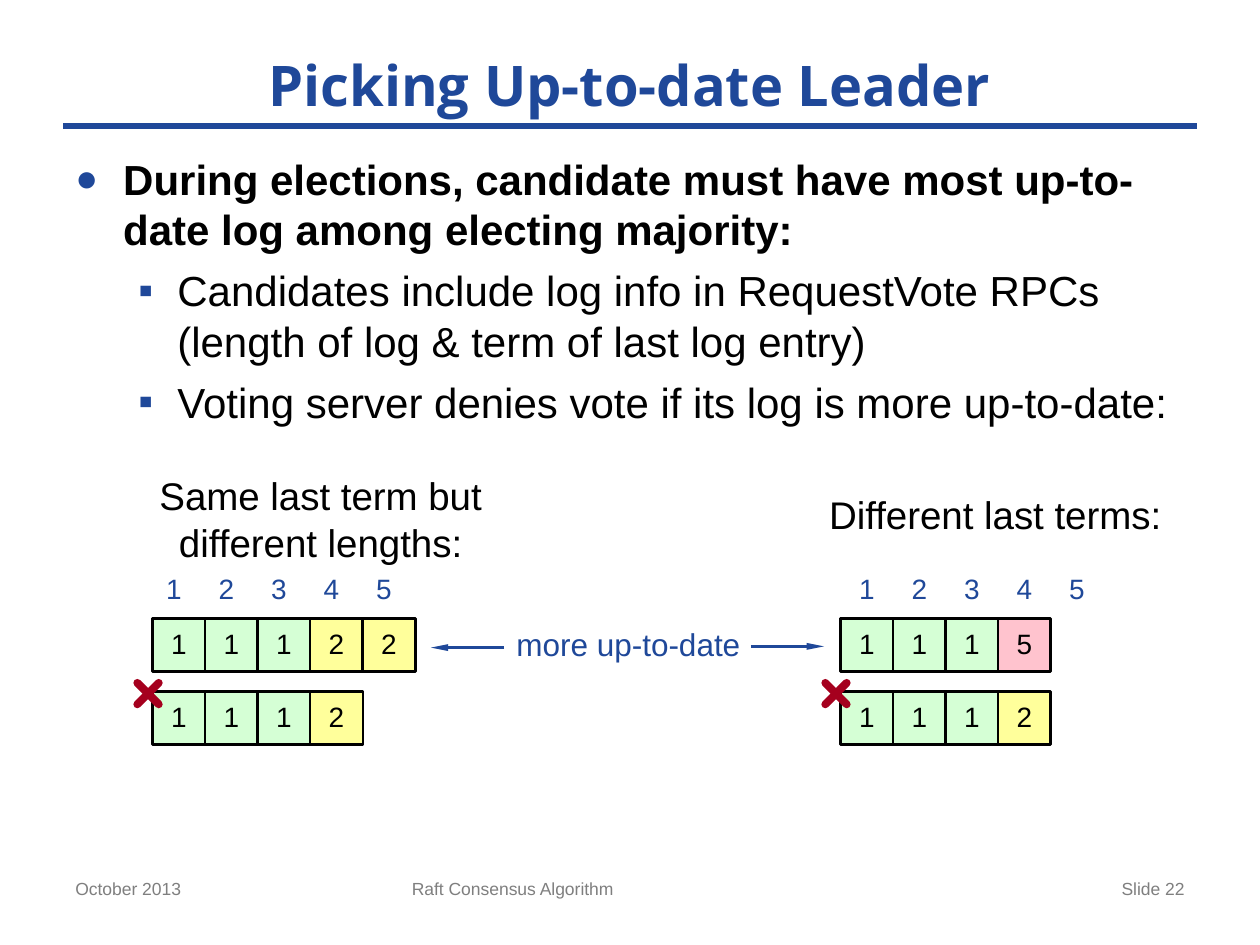
from lxml import etree
from pptx import Presentation
from pptx.dml.color import RGBColor
from pptx.enum import shapes, text
from pptx.oxml import ns
from pptx.util import Inches, Pt

COLORS = {"blue": "1F4899", "black": "000000", "gray": "7F7F7F", "red": "A5001E"}
TERM_FILLS = {1: "D5FFD5", 2: "FFFF9B", 5: "FFC3CE"}
LEFT, CENTER, RIGHT = text.PP_ALIGN.LEFT, text.PP_ALIGN.CENTER, text.PP_ALIGN.RIGHT

TITLE = "Picking Up-to-date Leader"
BULLETS = [
    ("During elections, candidate must have most up-to-date log among electing majority:", 0),
    ("Candidates include log info in RequestVote RPCs\n(length of log & term of last log entry)", 1),
    ("Voting server denies vote if its log is more up-to-date:", 1),
]
BULLET_LEVELS = [
    {"char": "●", "size": 90, "left": 0.38, "hanging": 0.38, "before": 12, "bold": True},
    {"char": "▪", "size": 100, "left": 0.81, "hanging": 0.31, "before": 6, "bold": False},
]
FOOTERS = [
    ("October 2013", 0.5, 2.33, LEFT),
    ("Raft Consensus Algorithm", 3.17, 3.75, LEFT),
    ("Slide 22", 7.17, 2.33, RIGHT),
]
LOG_GROUPS = [
    {"left": 1.21, "index_left": 1.17, "logs": [(1, 1, 1, 2, 2), (1, 1, 1, 2)]},
    {"left": 6.67, "index_left": 6.67, "logs": [(1, 1, 1, 5), (1, 1, 1, 2)]},
]
ARROWS = [((4, 5.14), (3.42, 5.14)), ((5.96, 5.13), (6.54, 5.13))]
INDEX_COUNT = 5
INDEX_TOP, LOG_TOP, LOG_STEP = 4.49, 4.91, 0.58
CELL, CELL_STEP = 0.42, 5 / 12
CROSS_TOP, CROSS_SIZE = 5.42, 0.17

presentation = Presentation()
presentation.slide_width, presentation.slide_height = Inches(10), Inches(7.5)
slide = presentation.slides.add_slide(presentation.slide_layouts[6])


def rgb(name):
    return RGBColor.from_string(COLORS.get(name, name))


def format_paragraph(paragraph, size, color, align=LEFT, bold=False, font="Arial", spacing=None):
    paragraph.alignment = align
    if spacing:
        paragraph.line_spacing = Pt(spacing)
    for run in paragraph.runs:
        run.font.name = font
        run.font.size = Pt(size)
        run.font.bold = bold
        run.font.color.rgb = rgb(color)


def remove_insets(frame):
    frame.margin_left = frame.margin_right = frame.margin_top = frame.margin_bottom = 0


def add_text(content, box, size, color, inset=True, grow=False, wrap=True,
             anchor=text.MSO_ANCHOR.TOP, **style):
    frame = slide.shapes.add_textbox(*map(Inches, box)).text_frame
    frame.word_wrap = wrap
    frame.vertical_anchor = anchor
    if grow:
        frame.auto_size = text.MSO_AUTO_SIZE.SHAPE_TO_FIT_TEXT
    if not inset:
        remove_insets(frame)
    frame.text = content
    format_paragraph(frame.paragraphs[0], size, color, **style)


def add_line(start, end, color, width, arrow=False, rounded=False):
    line = slide.shapes.add_connector(
        shapes.MSO_CONNECTOR.STRAIGHT, *map(Inches, (*start, *end)))
    line.line.color.rgb = rgb(color)
    line.line.width = Pt(width)
    outline = line.line._get_or_add_ln()
    if rounded:
        outline.set("cap", "rnd")
    if arrow:
        etree.SubElement(outline, ns.qn("a:tailEnd"), type="triangle", w="sm", len="lg")
    etree.SubElement(line._element.spPr, ns.qn("a:effectLst"))


def add_bullet(paragraph, level):
    properties = paragraph._p.get_or_add_pPr()
    properties.set("marL", str(Inches(level["left"])))
    properties.set("indent", str(-Inches(level["hanging"])))
    color = etree.SubElement(properties, ns.qn("a:buClr"))
    etree.SubElement(color, ns.qn("a:srgbClr"), val=COLORS["blue"])
    etree.SubElement(properties, ns.qn("a:buSzPct"), val=str(level["size"] * 1000))
    etree.SubElement(properties, ns.qn("a:buFont"), typeface="Arial")
    etree.SubElement(properties, ns.qn("a:buChar"), char=level["char"])


def add_body():
    frame = slide.shapes.add_textbox(*map(Inches, (0.5, 1.17, 9, 5.53))).text_frame
    frame.word_wrap = True
    for position, (content, depth) in enumerate(BULLETS):
        level = BULLET_LEVELS[depth]
        paragraph = frame.add_paragraph() if position else frame.paragraphs[0]
        paragraph.text = content
        paragraph.level = depth
        paragraph.space_before = Pt(level["before"])
        format_paragraph(paragraph, 24, "black", bold=level["bold"])
        add_bullet(paragraph, level)


def add_entry(term, left, top):
    entry = slide.shapes.add_shape(
        shapes.MSO_SHAPE.RECTANGLE, *map(Inches, (left, top, CELL, CELL)))
    entry.shadow.inherit = False
    entry.fill.solid()
    entry.fill.fore_color.rgb = rgb(TERM_FILLS[term])
    entry.line.color.rgb = rgb("black")
    entry.line.width = Pt(1.5)
    frame = entry.text_frame
    remove_insets(frame)
    frame.vertical_anchor = text.MSO_ANCHOR.MIDDLE
    frame.text = str(term)
    format_paragraph(frame.paragraphs[0], 16, "black", CENTER, spacing=17)


def add_log_group(group):
    for column in range(INDEX_COUNT):
        left = group["index_left"] + column * CELL_STEP
        add_text(str(column + 1), (left, INDEX_TOP, CELL, 0.37), 16, "blue",
                 grow=True, align=CENTER)
    for row, log in enumerate(group["logs"]):
        for column, term in enumerate(log):
            add_entry(term, group["left"] + column * CELL_STEP, LOG_TOP + row * LOG_STEP)
    left = group["left"] - 0.12
    right, bottom = left + CROSS_SIZE, CROSS_TOP + CROSS_SIZE
    add_line((left, CROSS_TOP), (right, bottom), "red", 4.5, rounded=True)
    add_line((left, bottom), (right, CROSS_TOP), "red", 4.5, rounded=True)


add_line((0.5, 1), (9.5, 1), "blue", 4)
add_body()
for content, left, width, align in FOOTERS:
    add_text(content, (left, 6.92, width, 0.43), 10, "gray", align=align)
add_text(TITLE, (0.5, 0.33, 9, 0.67), 32, "blue", anchor=text.MSO_ANCHOR.MIDDLE,
         align=CENTER, bold=True, font="Open Sans")
add_text("Same last term but different lengths:", (1.17, 3.75, 2.75, 0.74), 22, "black",
         inset=False, grow=True, align=CENTER)
add_text("Different last terms:", (6.58, 4, 2.75, 0.27), 22, "black",
         inset=False, grow=True, spacing=19)
add_text("more up-to-date", (4, 4.95, 2, 0.37), 18, "blue",
         grow=True, wrap=False, spacing=19)
for start, end in ARROWS:
    add_line(start, end, "blue", 1.5, arrow=True)
for group in LOG_GROUPS:
    add_log_group(group)

presentation.save("out.pptx")
